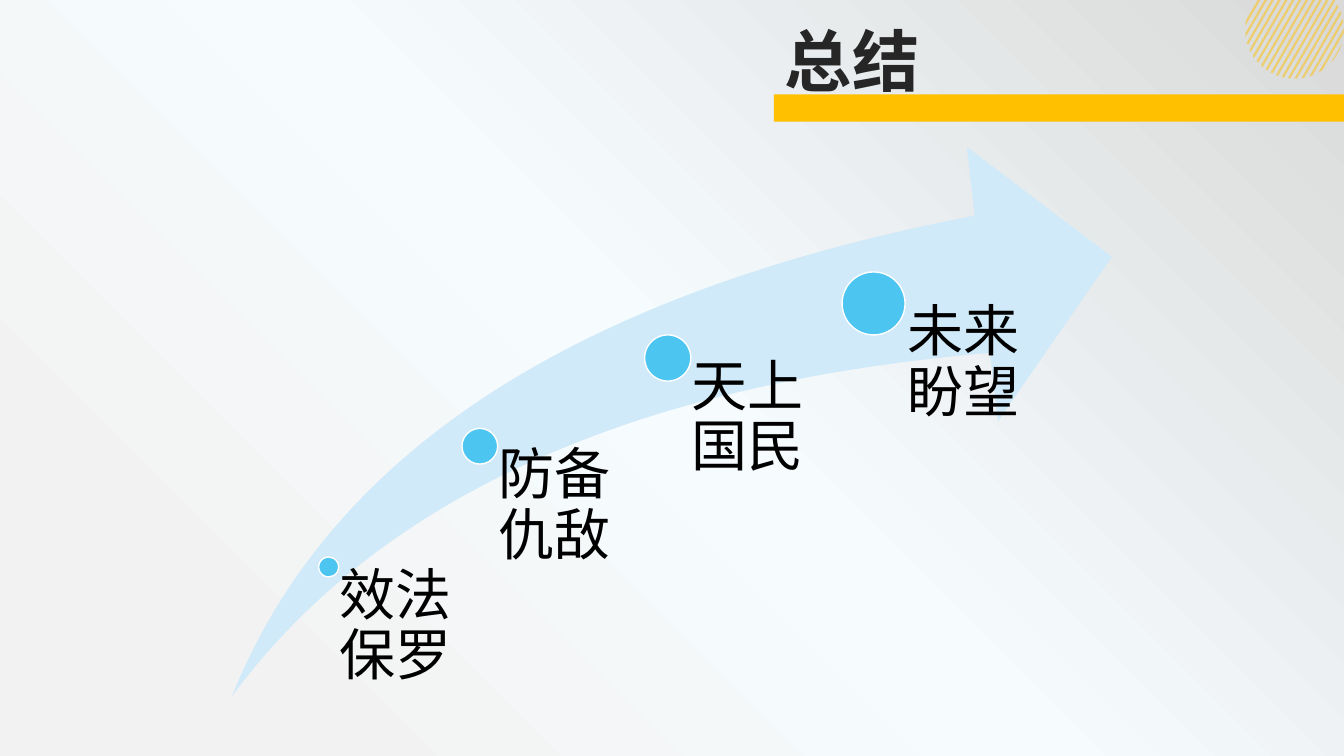
import math

import pptx
import pptx.dml.color
import pptx.enum.shapes
import pptx.enum.text
import pptx.oxml
import pptx.oxml.ns
import pptx.util

PX = 9525
FONT = "Arial"
GOLD = "FFC000"
SKY = "4CC5F0"
PALE_SKY = "D0EAF9"
SHAPES = pptx.enum.shapes.MSO_SHAPE

STRIPE_COUNT = 17
STRIPE_PITCH = 5.64
STRIPE_WIDTH = 2.1
FIRST_STRIPE = -44.4
STRIPE_ANGLE = math.radians(60)
DISC_X, DISC_Y, DISC_RADIUS = 1233, 28, 47

LABEL_BOTTOM = 664
MILESTONES = [
    ("效法保罗", 313, 540, 19, 143),
    ("防备仇敌", 457, 425, 34, 176),
    ("天上国民", 636, 341, 44, 176),
    ("未来盼望", 832, 289, 60, 176),
]


def px(length):
    return pptx.util.Emu(round(length * PX))


def color(value):
    return pptx.dml.color.RGBColor.from_string(value)


def paint(shape, fill, line=None):
    shape.shadow.inherit = False
    shape.fill.solid()
    shape.fill.fore_color.rgb = color(fill)
    if line:
        shape.line.color.rgb = color(line)
        shape.line.width = pptx.util.Pt(1)
    else:
        shape.line.fill.background()


def add_preset(slide, kind, left, top, width, height, fill, line=None):
    shape = slide.shapes.add_shape(kind, px(left), px(top), px(width), px(height))
    paint(shape, fill, line)
    return shape


def format_text(shape, text, size, text_color, bold=False):
    frame = shape.text_frame
    frame.word_wrap = True
    frame.vertical_anchor = pptx.enum.text.MSO_ANCHOR.TOP
    frame.text = text
    paragraph = frame.paragraphs[0]
    paragraph.alignment = pptx.enum.text.PP_ALIGN.LEFT
    paragraph.font.name = FONT
    paragraph.font.size = pptx.util.Pt(size)
    paragraph.font.bold = bold
    paragraph.font.color.rgb = color(text_color)
    return paragraph


def set_background(slide):
    slide.background.fill.gradient()
    gradient = slide.element.find(".//" + pptx.oxml.ns.qn("a:gradFill"))
    radial = pptx.oxml.parse_xml(
        f'<a:gradFill {pptx.oxml.ns.nsdecls("a")} rotWithShape="1"><a:gsLst>'
        '<a:gs pos="15000"><a:srgbClr val="F2F2F2"/></a:gs>'
        '<a:gs pos="50000"><a:srgbClr val="F6FCFE"><a:alpha val="27000"/></a:srgbClr></a:gs>'
        '<a:gs pos="100000"><a:srgbClr val="D9D9D9"/></a:gs></a:gsLst>'
        '<a:path path="circle"><a:fillToRect t="100000" r="100000"/></a:path></a:gradFill>'
    )
    gradient.getparent().replace(gradient, radial)


def disc_point(offset, direction):
    sine, cosine = math.sin(STRIPE_ANGLE), math.cos(STRIPE_ANGLE)
    along = direction * math.sqrt(DISC_RADIUS**2 - offset**2)
    along = min(along, (DISC_Y + offset * cosine) / sine)
    x = DISC_X + along * cosine + offset * sine
    y = DISC_Y - along * sine + offset * cosine
    return px(x), px(max(y, 0))


def add_stripe(slide, start):
    end = min(start + STRIPE_WIDTH, DISC_RADIUS)
    offsets = [start + (end - start) * step / 4 for step in range(5)]
    points = [disc_point(offset, 1) for offset in offsets]
    points += [disc_point(offset, -1) for offset in reversed(offsets)]
    builder = slide.shapes.build_freeform(*points[0])
    builder.add_line_segments(points[1:], close=True)
    stripe = builder.convert_to_shape()
    paint(stripe, GOLD)
    fill_color = stripe.element.spPr.find(".//" + pptx.oxml.ns.qn("a:srgbClr"))
    fill_color.append(
        pptx.oxml.parse_xml(f'<a:alpha {pptx.oxml.ns.nsdecls("a")} val="50000"/>')
    )


def add_title(slide, text):
    title = slide.shapes.title
    title.left, title.top, title.width, title.height = px(738), px(14), px(491), px(87)
    format_text(title, text, 48, "262626", bold=True)
    title.text_frame.auto_size = pptx.enum.text.MSO_AUTO_SIZE.SHAPE_TO_FIT_TEXT


def add_milestone(slide, text, center_x, center_y, diameter, width):
    radius = diameter / 2
    add_preset(slide, SHAPES.OVAL, center_x - radius, center_y - radius,
               diameter, diameter, SKY, "FFFFFF")
    label = slide.shapes.add_textbox(
        px(center_x), px(center_y), px(width), px(LABEL_BOTTOM - center_y)
    )
    frame = label.text_frame
    frame.margin_left = px(round(diameter * 0.53))
    frame.margin_top = frame.margin_right = frame.margin_bottom = 0
    paragraph = format_text(label, text, 40, "000000")
    paragraph.line_spacing = 0.9


def main():
    presentation = pptx.Presentation()
    presentation.slide_width = px(1280)
    presentation.slide_height = px(720)
    slide = presentation.slides.add_slide(presentation.slide_layouts[5])
    set_background(slide)
    for index in range(STRIPE_COUNT):
        add_stripe(slide, FIRST_STRIPE + index * STRIPE_PITCH)
    add_preset(slide, SHAPES.RECTANGLE, 737, 90, 543, 26, GOLD)
    add_title(slide, "总结")
    arrow = add_preset(slide, SHAPES.SWOOSH_ARROW, 221, 140, 838, 523, PALE_SKY)
    arrow.adjustments[0] = 0.25
    arrow.adjustments[1] = 0.25
    for milestone in MILESTONES:
        add_milestone(slide, *milestone)
    presentation.save("out.pptx")


if __name__ == "__main__":
    main()
